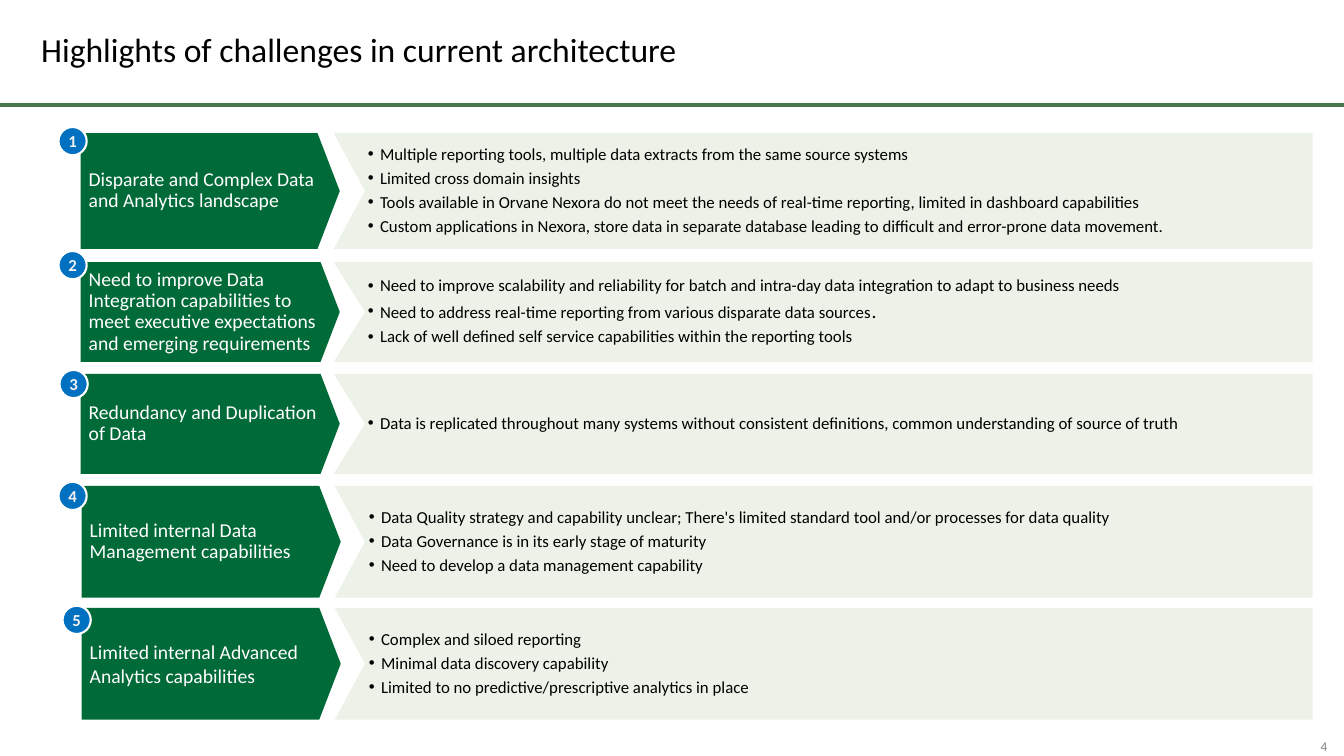
from pptx import Presentation
from pptx.util import Inches, Pt
from pptx.dml.color import RGBColor
from pptx.enum import shapes, text
from pptx.oxml import parse_xml
from pptx.oxml.ns import nsdecls

COLORS = {"label": "006A38", "panel": "EDF2E8", "badge": "0070C0", "rule": "49754C",
          "black": "000000", "white": "FFFFFF", "number": "F2F2F2", "grey": "808080"}

# Each row: top, height, badge left, badge top, label line spacing, label paragraphs, bullets
ROWS = [
    (1.32, 1.15, 0.58, 1.26, 0.9, ["Disparate and Complex Data and Analytics landscape"], [
        "Multiple reporting tools, multiple data extracts from the same source systems",
        "Limited cross domain insights",
        "Tools available in Orvane Nexora do not meet the needs of real-time reporting, limited in dashboard capabilities",
        "Custom applications in Nexora, store data in separate database leading to difficult and error-prone data movement."]),
    (2.6, 0.99, 0.58, 2.49, 0.9,
     ["Need to improve Data Integration capabilities to meet executive expectations and emerging requirements"], [
        "Need to improve scalability and reliability for batch and intra-day data integration to adapt to business needs",
        "Need to address real-time reporting from various disparate data sources.",
        "Lack of well defined self service capabilities within the reporting tools"]),
    (3.71, 0.99, 0.59, 3.67, 0.9, ["Redundancy and Duplication", "of Data"], [
        "Data is replicated throughout many systems without consistent definitions, common understanding of source of truth"]),
    (4.82, 1.11, 0.58, 4.78, 0.9, ["Limited internal Data Management capabilities"], [
        "Data Quality strategy and capability unclear; There's limited standard tool and/or processes for data quality",
        "Data Governance is in its early stage of maturity",
        "Need to develop a data management capability"]),
    (6.03, 1.11, 0.62, 6.01, 1.0, ["Limited internal Advanced Analytics capabilities"], [
        "Complex and siloed reporting",
        "Minimal data discovery capability",
        "Limited to no predictive/prescriptive analytics in place"]),
]


def write(sp, paragraphs, size, color, inset, align="LEFT", spacing=0.9, bold=False, wrap=True):
    """Fill a shape with paragraphs, each a list of (text, size or None) runs."""
    tf = sp.text_frame
    tf.word_wrap = wrap
    tf.vertical_anchor = text.MSO_ANCHOR.MIDDLE
    tf.margin_left = tf.margin_right = tf.margin_top = tf.margin_bottom = Inches(inset)
    for i, runs in enumerate(paragraphs):
        p = tf.add_paragraph() if i else tf.paragraphs[0]
        p.alignment = getattr(text.PP_ALIGN, align)
        p.line_spacing = spacing
        for words, run_size in runs:
            r = p.add_run()
            r.text = words
            r.font.name = "Calibri"
            r.font.size = Pt(run_size or size)
            r.font.bold = bold
            r.font.color.rgb = RGBColor.from_string(COLORS[color])
    return tf


def paint(sp, fill):
    """Give a shape a flat fill with neither line nor shadow."""
    sp.shadow.inherit = False
    sp.fill.solid()
    sp.fill.fore_color.rgb = RGBColor.from_string(COLORS[fill])
    sp.line.fill.background()


prs = Presentation()
prs.slide_width, prs.slide_height = Inches(13.33), Inches(7.5)
s = prs.slides.add_slide(prs.slide_layouts[6])

# Title, rule and page number
sp = s.shapes.add_textbox(Inches(0.31), Inches(0.1), Inches(12.71), Inches(0.83))
write(sp, [[("Highlights of challenges in current architecture", None)]], 24, "black", 0.1)

rule = s.shapes.add_connector(shapes.MSO_CONNECTOR.STRAIGHT,
                              Inches(0), Inches(1.04), Inches(13.33), Inches(1.04))
rule.line.color.rgb = RGBColor.from_string(COLORS["rule"])
rule.line.width = Pt(2.75)
rule._element.spPr.append(parse_xml(f"<a:effectLst {nsdecls('a')}/>"))

sp = s.shapes.add_textbox(Inches(12.92), Inches(7.32), Inches(0.42), Inches(0.17))
write(sp, [[("4", None)]], 9.5, "grey", 0, "CENTER", 1.0)

for number, (top, height, badge_left, badge_top, spacing, label, bullets) in enumerate(ROWS, 1):
    left = 0.8 if number < 4 else 0.81
    notch = left + 2.51

    # Green label arrow
    sp = s.shapes.add_shape(shapes.MSO_SHAPE.PENTAGON, Inches(left), Inches(top),
                            Inches(2.57), Inches(height))
    sp.adjustments[0] = 0.192
    paint(sp, "label")
    write(sp, [[(line, None)] for line in label], 14, "white", 0.08, spacing=spacing)

    # Notched panel
    fb = s.shapes.build_freeform(Inches(notch), Inches(top))
    fb.add_line_segments([(Inches(x), Inches(y)) for x, y in [
        (3.62, top + height / 2), (notch, top + height), (13.02, top + height), (13.02, top)]])
    sp = fb.convert_to_shape()
    paint(sp, "panel")

    # Bullets; the full stop that closes the second row's sentence is larger
    paragraphs = [[(b[:-1], None), (".", 14)] if number == 2 and b.endswith(".") else [(b, None)]
                  for b in bullets]
    tf = write(sp, paragraphs, 12, "black", 0.08)
    for p in tf.paragraphs:
        p.space_after = Pt(4.2)
        pPr = p._p.get_or_add_pPr()
        pPr.set("marL", str(Inches(0.38)))
        pPr.set("indent", str(Inches(-0.12)))
        pPr.append(parse_xml(f'<a:buFont {nsdecls("a")} typeface="Arial"/>'))
        pPr.append(parse_xml(f'<a:buChar {nsdecls("a")} char="•"/>'))

    # Number badge
    sp = s.shapes.add_shape(shapes.MSO_SHAPE.OVAL, Inches(badge_left), Inches(badge_top),
                            Inches(0.28), Inches(0.28))
    paint(sp, "badge")
    sp.line.color.rgb = RGBColor.from_string(COLORS["white"])
    sp.line.width = Pt(1.5)
    write(sp, [[(str(number), None)]], 12, "number", 0, "CENTER", 1.0, bold=True, wrap=False)

prs.save("out.pptx")
